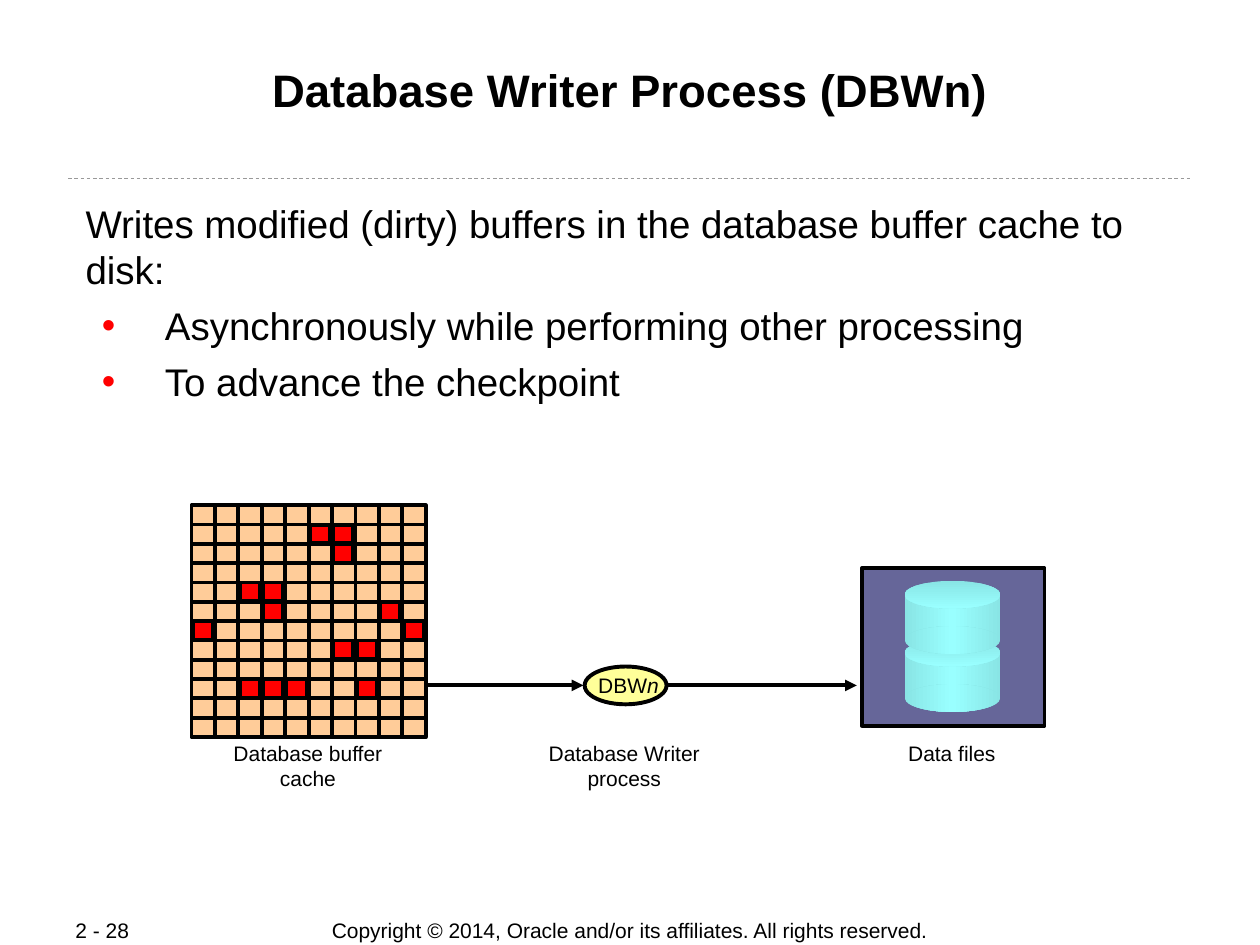
"""Builds a slide on the Database Writer process (DBWn)."""
from lxml import etree
from pptx import Presentation
from pptx.dml.color import RGBColor
from pptx.enum import dml, shapes, text
from pptx.oxml import ns
from pptx.util import Inches, Pt

BLACK = RGBColor(0x00, 0x00, 0x00)
GREY = RGBColor(0x99, 0x99, 0x99)
RED = RGBColor(0xFF, 0x00, 0x00)
PEACH = RGBColor(0xFF, 0xCC, 0x99)
YELLOW = RGBColor(0xFF, 0xFF, 0x99)
SLATE = RGBColor(0x66, 0x66, 0x99)
TEAL = RGBColor(0x89, 0xE5, 0xE5)
CYAN = RGBColor(0x99, 0xFF, 0xFF)
RECT = shapes.MSO_SHAPE.RECTANGLE
OVAL = shapes.MSO_SHAPE.OVAL
LEFT, CENTER = text.PP_ALIGN.LEFT, text.PP_ALIGN.CENTER
TOP, MIDDLE = text.MSO_ANCHOR.TOP, text.MSO_ANCHOR.MIDDLE

prs = Presentation()
prs.slide_width, prs.slide_height = Inches(10), Inches(7.5)
s = prs.slides.add_slide(prs.slide_layouts[6])


def add_box(kind, x, y, w, h, fill):
    sp = s.shapes.add_shape(kind, Inches(x), Inches(y), Inches(w), Inches(h))
    sp.shadow.inherit = False
    sp.fill.solid()
    sp.fill.fore_color.rgb = fill
    sp.line.color.rgb = BLACK
    sp.line.width = Pt(2.25)
    return sp


def add_line(x1, y1, x2, y2, color=BLACK, width=2.25):
    cn = s.shapes.add_connector(shapes.MSO_CONNECTOR.STRAIGHT, Inches(x1),
                                Inches(y1), Inches(x2), Inches(y2))
    cn.line.color.rgb = color
    cn.line.width = Pt(width)
    etree.SubElement(cn._element.spPr, ns.qn("a:effectLst"))
    return cn


rule = add_line(0.54, 1.42, 9.46, 1.42, GREY, 0.5)
rule.line.dash_style = dml.MSO_LINE.DASH

for x, y, w, h, mx, my, anchor, align, size, bold, paras in (
    (2.4, 7.28, 5.2, 0.21, 0.1, 0, MIDDLE, CENTER, 12, False,
     ["Copyright © 2014, Oracle and/or its affiliates. All rights reserved."]),
    (0.5, 7.28, 1.06, 0.2, 0.1, 0, MIDDLE, LEFT, 12, False, ["2 - 28"]),
    (0.67, 0.48, 8.66, 0.96, 0.01, 0.01, TOP, CENTER, 26, True,
     ["Database Writer Process (DBWn)"]),
    (0.67, 1.58, 8.66, 1.65, 0.01, 0.01, TOP, LEFT, 22, False,
     ["Writes modified (dirty) buffers in the database buffer cache to disk:",
      "Asynchronously while performing other processing",
      "To advance the checkpoint"]),
    (1.53, 5.83, 1.83, 0.5, 0.1, 0.05, TOP, CENTER, 12, False,
     ["Database buffer cache"]),
    (4.04, 5.83, 1.83, 0.5, 0.1, 0.05, TOP, CENTER, 12, False,
     ["Database Writer process"]),
    (6.64, 5.83, 1.83, 0.3, 0.1, 0.05, TOP, CENTER, 12, False, ["Data files"]),
):
    tf = s.shapes.add_textbox(Inches(x), Inches(y), Inches(w), Inches(h)).text_frame
    tf.margin_left = tf.margin_right = Inches(mx)
    tf.margin_top = tf.margin_bottom = Inches(my)
    tf.word_wrap = True
    tf.vertical_anchor = anchor
    for i, words in enumerate(paras):
        p = tf.paragraphs[0] if i == 0 else tf.add_paragraph()
        p.alignment = align
        if i:
            p.level = 1
            p.space_before = Pt(5.5)
            pPr = p._p.get_or_add_pPr()
            pPr.set("marL", str(Inches(0.63)))
            pPr.set("indent", str(Inches(-0.5)))
            clr = etree.SubElement(pPr, ns.qn("a:buClr"))
            etree.SubElement(clr, ns.qn("a:srgbClr"), val=str(RED))
            etree.SubElement(pPr, ns.qn("a:buFont"), typeface="Arial")
            etree.SubElement(pPr, ns.qn("a:buChar"), char="•")
        r = p.add_run()
        r.text = words
        r.font.name, r.font.size, r.font.bold = "Arial", Pt(size), bold
        r.font.color.rgb = BLACK

add_box(RECT, 6.84, 4.51, 1.45, 1.25, SLATE)
for x1, x2 in ((3.38, 4.63), (5.3, 6.8)):
    arrow = add_line(x1, 5.44, x2, 5.44)
    etree.SubElement(arrow.line._get_or_add_ln(), ns.qn("a:tailEnd"), type="triangle")

writer = add_box(OVAL, 4.64, 5.29, 0.65, 0.3, YELLOW)
tf = writer.text_frame
tf.word_wrap = False
tf.vertical_anchor = MIDDLE
p = tf.paragraphs[0]
p.alignment = CENTER
for words, italic in ((" DBW", False), ("n", True)):
    r = p.add_run()
    r.text = words
    r.font.name, r.font.size, r.font.italic = "Arial", Pt(12), italic
    r.font.color.rgb = BLACK

SIDE = ((0, TEAL), (50, CYAN), (100, TEAL))
LID = ((0, TEAL), (100, CYAN))
for top in (5.07, 4.61):
    for kind, dy, h, stops, angle in ((RECT, 0.12, 0.35, SIDE, 0),
                                      (OVAL, 0, 0.22, LID, 90),
                                      (OVAL, 0.36, 0.22, SIDE, 0)):
        sp = add_box(kind, 7.18, top + dy, 0.76, h, CYAN)
        sp.line.fill.background()
        sp.fill.gradient()
        sp.fill.gradient_angle = 0
        grad = sp._element.spPr.find(ns.qn("a:gradFill"))
        grad.find(ns.qn("a:lin")).set("ang", str(angle * 60000))
        gs_list = grad.find(ns.qn("a:gsLst"))
        for gs in list(gs_list):
            gs_list.remove(gs)
        for pos, color in stops:
            gs = etree.SubElement(gs_list, ns.qn("a:gs"), pos=str(pos * 1000))
            etree.SubElement(gs, ns.qn("a:srgbClr"), val=str(color))

X, Y, W, H = 1.52, 4.01, 1.86, 1.84
COLS, ROWS = 10, 12
cw, rh = W / COLS, H / ROWS
add_box(RECT, X, Y, W, H, PEACH)
for c in range(COLS + 1):
    add_line(X + c * cw, Y, X + c * cw, Y + H)
for n in range(ROWS + 1):
    add_line(X, Y + n * rh, X + W, Y + n * rh)
DIRTY = {1: (5, 6), 2: (6,), 4: (2, 3), 5: (3, 8), 6: (0, 9), 7: (6, 7),
         9: (2, 3, 4, 7)}
for n, cols in DIRTY.items():
    for c in cols:
        add_box(RECT, X + c * cw + 0.01, Y + n * rh, 0.16, 0.15, RED)

prs.save("out.pptx")
